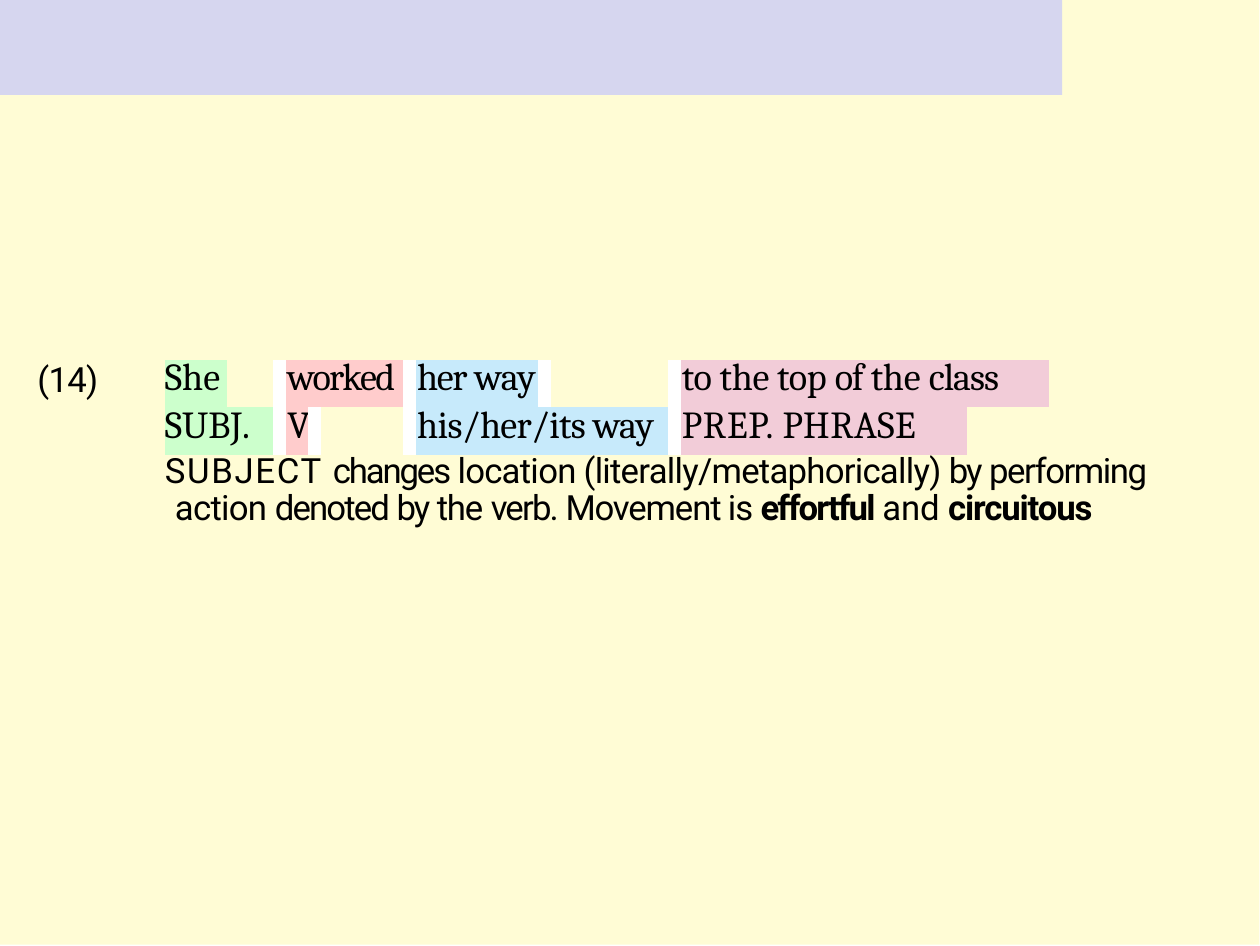
from dataclasses import dataclass

from lxml import etree
from pptx import Presentation
from pptx.dml.color import RGBColor
from pptx.enum.shapes import MSO_SHAPE
from pptx.enum.text import MSO_ANCHOR, MSO_AUTO_SIZE, PP_ALIGN
from pptx.oxml.ns import qn
from pptx.util import Inches, Pt

RECT = MSO_SHAPE.RECTANGLE
TOP = MSO_ANCHOR.TOP
FIXED = MSO_AUTO_SIZE.NONE
LEFT = PP_ALIGN.LEFT

CREAM = RGBColor(0xFF, 0xFC, 0xD5)
LILAC = RGBColor(0xD6, 0xD6, 0xEF)
GREEN = RGBColor(0xCC, 0xFF, 0xCC)
PINK = RGBColor(0xFF, 0xCC, 0xCC)
BLUE = RGBColor(0xC7, 0xEA, 0xFB)
ROSE = RGBColor(0xF2, 0xCC, 0xD8)
WHITE = RGBColor(0xFF, 0xFF, 0xFF)
BLACK = RGBColor(0, 0, 0)

PLAIN = "{2D5ABB26-0587-4C30-8999-92F81FD0307C}"
WIDE, HIGH = 363 / 72, 272.5 / 72


@dataclass
class Piece:
    text: str
    space: float = 0
    bold: bool = False


@dataclass
class Part:
    runs: list[Piece]
    fill: RGBColor
    span: int = 1
    edge: bool = True


COLS = [0.25, 0.21, 0.14, 0.38, 0.54, 0.52, 1.17, 0.33]
ROWS = [
    [
        Part([Piece("She")], GREEN, edge=False),
        Part([], CREAM),
        Part([Piece("worked", -0.5)], PINK, 2),
        Part([Piece("her ", -0.4), Piece("way", -0.2)], BLUE),
        Part([], CREAM),
        Part([Piece("to the top ", -0.1), Piece("of ", -0.4),
              Piece("the ", -0.1), Piece("class", -0.3)], ROSE, 2, False),
    ],
    [
        Part([Piece("SUBJ.")], GREEN, 2),
        Part([Piece("V")], PINK),
        Part([], CREAM),
        Part([Piece("his/her/its way", -0.2)], BLUE, 2),
        Part([Piece("PREP. ", 0.2), Piece("PHRASE", 0.1)], ROSE, edge=False),
        Part([], CREAM, edge=False),
    ],
]
GLOSS = [
    Piece("SUBJECT ", 0.5), Piece("changes ", -0.6),
    Piece("location (literally/metaphorically) ", -0.2), Piece("by ", -0.6),
    Piece("performing ", -0.4), Piece("action ", -0.2),
    Piece("denoted ", -0.5), Piece("by ", -0.6), Piece("the ", -0.3),
    Piece("verb. ", -0.5), Piece("Movement is ", -0.3),
    Piece("effortful ", -0.5, True), Piece("and "),
    Piece("circuitous", -0.3, True),
]


def write(para, runs: list[Piece], font: str, size: float) -> None:
    para.alignment = LEFT
    for piece in runs:
        run = para.add_run()
        run.text = piece.text
        run.font.name = font
        run.font.size = Pt(size)
        run.font.bold = piece.bold
        run.font.color.rgb = BLACK
        run._r.get_or_add_rPr().set("spc", str(round(piece.space * 100)))


def place(shape, left: float, top: float, width: float, height: float) -> None:
    shape.left, shape.top = Inches(left), Inches(top)
    shape.width, shape.height = Inches(width), Inches(height)


def inset(frame, left: float, top: float) -> None:
    frame.margin_left, frame.margin_top = Inches(left), Inches(top)
    frame.margin_right = frame.margin_bottom = 0
    frame.vertical_anchor = TOP


def band(slide, width: float, height: float, fill: RGBColor) -> None:
    shape = slide.shapes.add_shape(RECT, 0, 0, Inches(width), Inches(height))
    shape.shadow.inherit = False
    shape.fill.solid()
    shape.fill.fore_color.rgb = fill
    shape.line.fill.background()


def rule(cell, side: str, order: int) -> None:
    line = etree.Element(qn(f"a:{side}"), w=str(Pt(4.25)))
    fill = etree.SubElement(line, qn("a:solidFill"))
    etree.SubElement(fill, qn("a:srgbClr"), val=str(WHITE))
    cell._tc.get_or_add_tcPr().insert(order, line)


def grid(slide) -> None:
    frame = slide.shapes.add_table(
        len(ROWS), len(COLS), Inches(0.66), Inches(1.44),
        Inches(sum(COLS)), Inches(0.38))
    table = frame.table
    table.first_row = table.horz_banding = False
    table._tbl.tblPr.find(qn("a:tableStyleId")).text = PLAIN
    for col, width in zip(table.columns, COLS):
        col.width = Inches(width)
    for cell in table.iter_cells():
        inset(cell, 0, 0)
        para = cell.text_frame.paragraphs[0]
        para.line_spacing = Pt(11.7)
        etree.SubElement(para._p, qn("a:endParaRPr"), sz="800")
    for row, parts in enumerate(ROWS):
        col, edge = 0, False
        for part in parts:
            cell = table.cell(row, col)
            if part.span > 1:
                cell.merge(table.cell(row, col + part.span - 1))
            cell.margin_left = Inches(0.03 if edge else 0)
            cell.fill.solid()
            cell.fill.fore_color.rgb = part.fill
            write(cell.text_frame.paragraphs[0], part.runs, "Cambria", 11)
            sides = [("lnL", edge), ("lnR", part.edge)]
            for order, side in enumerate([name for name, on in sides if on]):
                rule(cell, side, order)
            col, edge = col + part.span, part.edge


def label(slide) -> None:
    title = slide.shapes.title
    tree = title.element.getparent()
    tree.append(title.element)
    place(title, 0.14, 1.42, 0.27, 0.19)
    frame = title.text_frame
    inset(frame, 0.01, 0.01)
    frame.word_wrap = False
    frame.auto_size = FIXED
    para = frame.paragraphs[0]
    para.space_before = Pt(0.9)
    para.line_spacing = 1.0
    write(para, [Piece("(14)", -0.2)], "Roboto", 10)


def gloss(slide) -> None:
    box = slide.shapes.add_textbox(0, 0, 0, 0)
    place(box, 0.65, 1.78, 3.98, 0.34)
    frame = box.text_frame
    inset(frame, 0.01, 0.04)
    frame.word_wrap = True
    para = frame.paragraphs[0]
    para.line_spacing = Pt(10.4)
    para.space_before = Pt(2.6)
    props = para._p.get_or_add_pPr()
    props.set("marL", str(Inches(0.04)))
    props.set("indent", str(Inches(-0.04)))
    write(para, GLOSS, "Roboto", 10)


def main() -> None:
    deck = Presentation()
    deck.slide_width, deck.slide_height = Inches(WIDE), Inches(HIGH)
    slide = deck.slides.add_slide(deck.slide_layouts[5])
    band(slide, 5.04, 3.78, CREAM)
    band(slide, 4.25, 0.38, LILAC)
    label(slide)
    grid(slide)
    gloss(slide)
    deck.save("out.pptx")


if __name__ == "__main__":
    main()
